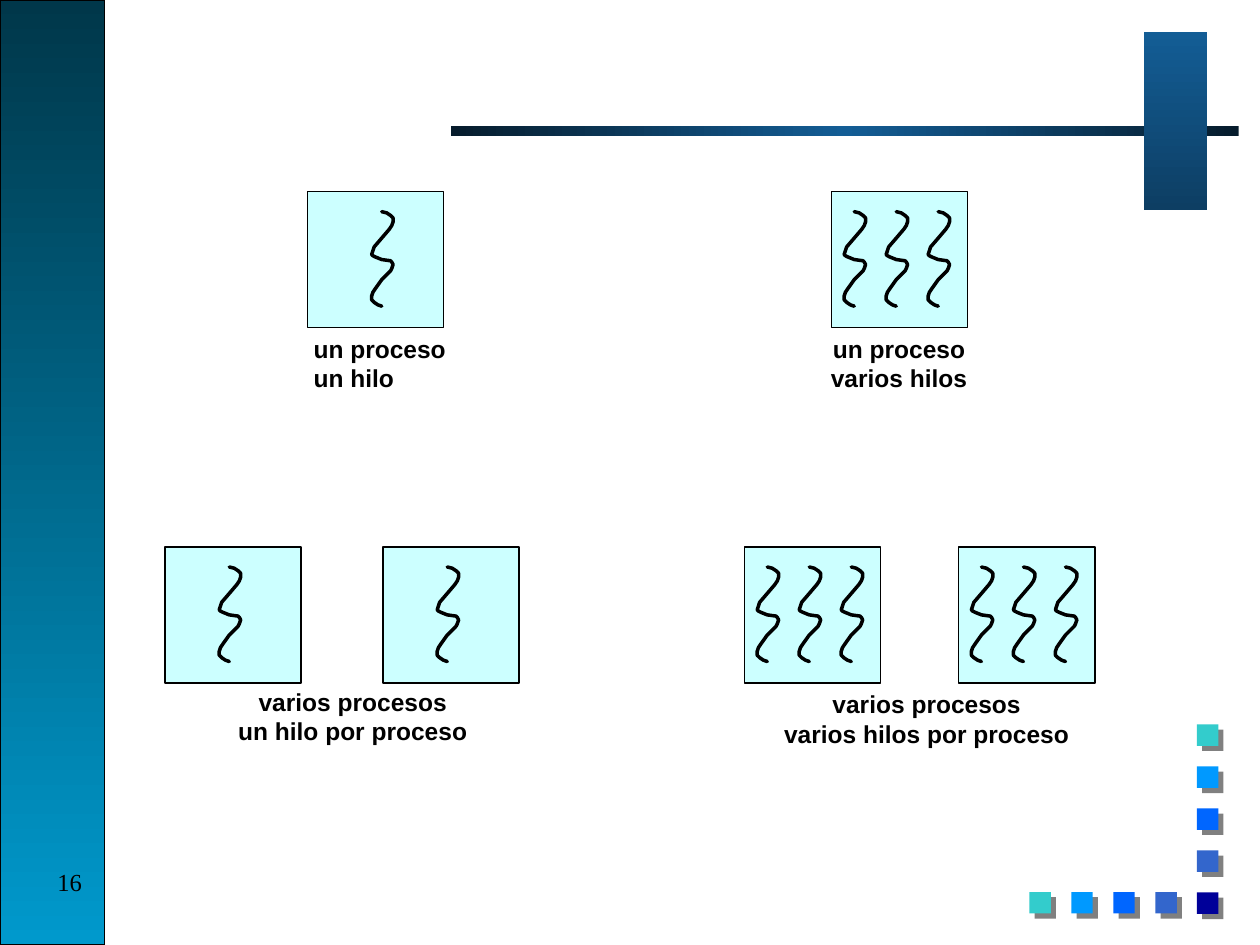
from lxml.etree import SubElement
from pptx import Presentation
from pptx.dml.color import RGBColor
from pptx.enum.shapes import MSO_SHAPE as Shape
from pptx.enum.text import MSO_ANCHOR as Anchor, MSO_AUTO_SIZE as AutoSize, PP_ALIGN as Align
from pptx.oxml.ns import qn
from pptx.util import Inches, Pt

BLACK = RGBColor(0x00, 0x00, 0x00)
PALE_CYAN = RGBColor(0xCC, 0xFF, 0xFF)
DARK_TEAL = RGBColor(0x00, 0x37, 0x4A)
SKY_BLUE = RGBColor(0x00, 0x99, 0xCC)
NIGHT_BLUE = RGBColor(0x06, 0x1C, 0x2C)
STEEL_BLUE = RGBColor(0x13, 0x5D, 0x95)
DEEP_BLUE = RGBColor(0x0D, 0x3E, 0x63)
GRAY = RGBColor(0x80, 0x80, 0x80)
SQUARE_COLORS = [
    RGBColor(0x33, 0xCC, 0xCC),
    RGBColor(0x00, 0x99, 0xFF),
    RGBColor(0x00, 0x66, 0xFF),
    RGBColor(0x33, 0x66, 0xCC),
    RGBColor(0x00, 0x00, 0x99),
]

BOX_SIZE = 1.08
THREAD_TOP = 0.16
THREAD_GAP = 1 / 3
THREAD_POINTS = [
    (0.08, 0), (0.12, 0.01), (0.15, 0.03), (0.17, 0.05), (0.17, 0.08),
    (0.16, 0.11), (0.14, 0.14), (0.08, 0.21), (0.02, 0.28), (0.01, 0.31),
    (0, 0.34), (0.01, 0.35), (0.03, 0.36), (0.08, 0.38), (0.15, 0.39),
    (0.16, 0.4), (0.17, 0.42), (0.16, 0.45), (0.15, 0.47), (0.08, 0.54),
    (0.03, 0.61), (0.01, 0.64), (0, 0.67), (0, 0.7), (0.02, 0.72),
    (0.05, 0.74), (0.08, 0.75),
]


def add_rectangle(shapes, left, top, width, height, fill=None, line=None):
    shape = shapes.add_shape(
        Shape.RECTANGLE, Inches(left), Inches(top), Inches(width), Inches(height))
    shape.shadow.inherit = False
    if fill is not None:
        shape.fill.solid()
        shape.fill.fore_color.rgb = fill
    if line is None:
        shape.line.fill.background()
    else:
        shape.line.color.rgb = line
        shape.line.width = Pt(0.75)
    return shape


def set_gradient(shape, colors, angle):
    properties = shape.element.spPr
    gradient = SubElement(properties, qn("a:gradFill"), rotWithShape="1")
    stops = SubElement(gradient, qn("a:gsLst"))
    for index, color in enumerate(colors):
        position = 100000 * index // (len(colors) - 1)
        stop = SubElement(stops, qn("a:gs"), pos=str(position))
        SubElement(stop, qn("a:srgbClr"), val=str(color))
    SubElement(gradient, qn("a:lin"), ang=str(angle * 60000), scaled="0")
    properties.find(qn("a:prstGeom")).addnext(gradient)


def add_shadowed_square(shapes, left, top, color):
    square = add_rectangle(shapes, left, top, 0.17, 0.17, fill=color)
    effects = square.element.spPr.find(qn("a:effectLst"))
    shadow = SubElement(
        effects, qn("a:outerShdw"), dist=str(Pt(4.2)), dir=str(45 * 60000),
        algn="ctr", rotWithShape="0")
    SubElement(shadow, qn("a:srgbClr"), val=str(GRAY))


def add_text(shapes, text, left, top, width, height, font="Arial", bold=True,
             align=Align.CENTER, wrap=False, auto_size=AutoSize.SHAPE_TO_FIT_TEXT):
    text_box = shapes.add_textbox(
        Inches(left), Inches(top), Inches(width), Inches(height))
    frame = text_box.text_frame
    frame.word_wrap = wrap
    frame.auto_size = auto_size
    frame.vertical_anchor = Anchor.TOP
    frame.text = text
    for paragraph in frame.paragraphs:
        paragraph.alignment = align
        paragraph.font.name = font
        paragraph.font.size = Pt(14)
        paragraph.font.bold = bold
        paragraph.font.color.rgb = BLACK


def add_thread(shapes, left, top):
    points = [(Inches(left + x), Inches(top + y)) for x, y in THREAD_POINTS]
    builder = shapes.build_freeform(*points[0])
    builder.add_line_segments(points[1:], close=False)
    thread = builder.convert_to_shape()
    thread.shadow.inherit = False
    thread.fill.background()
    thread.line.color.rgb = BLACK
    thread.line.width = Pt(2)
    outline = thread.element.spPr.find(qn("a:ln"))
    outline.set("cap", "rnd")
    SubElement(outline, qn("a:round"))


def add_process(shapes, left, top, threads, thread_offset):
    add_rectangle(shapes, left, top, BOX_SIZE, BOX_SIZE, fill=PALE_CYAN, line=BLACK)
    for index in range(threads):
        add_thread(shapes, left + thread_offset + index * THREAD_GAP, top + THREAD_TOP)


def add_model(slide, lefts, top, threads, thread_offset, caption, caption_at,
              align=Align.CENTER):
    shapes = slide.shapes.add_group_shape().shapes
    for left in lefts:
        add_process(shapes, left, top, threads, thread_offset)
    add_text(shapes, caption, *caption_at, 0.57, align=align)


def add_decoration(slide):
    shapes = slide.shapes
    side_band = add_rectangle(shapes, 0, 0, 0.83, 7.5, line=BLACK)
    set_gradient(side_band, [DARK_TEAL, SKY_BLUE], 90)
    for index, color in enumerate(SQUARE_COLORS):
        add_shadowed_square(shapes, 9.5, 5.75 + index / 3, color)
    for index, color in enumerate(SQUARE_COLORS[:-1]):
        add_shadowed_square(shapes, 8.17 + index / 3, 7.08, color)
    title_rule = add_rectangle(shapes, 3.58, 1, 6.25, 0.08)
    set_gradient(title_rule, [NIGHT_BLUE, STEEL_BLUE, NIGHT_BLUE], 0)
    corner_bar = add_rectangle(shapes, 9.08, 0.25, 0.5, 1.42)
    set_gradient(corner_bar, [STEEL_BLUE, DEEP_BLUE], 90)


def main():
    presentation = Presentation()
    presentation.slide_width = Inches(10)
    presentation.slide_height = Inches(7.5)
    slide = presentation.slides.add_slide(presentation.slide_layouts[6])
    add_decoration(slide)
    add_text(slide.shapes, "16", 0.08, 6.83, 0.67, 0.5, font="Times New Roman",
             bold=False, align=Align.RIGHT, wrap=True, auto_size=AutoSize.NONE)
    add_model(slide, [2.44], 1.52, 1, 0.51, "un proceso\nun hilo",
              (2.39, 2.6, 1.25), align=Align.LEFT)
    add_model(slide, [1.31, 3.04], 4.34, 1, 0.43,
              "varios procesos\nun hilo por proceso", (1.79, 5.4, 2.02))
    add_model(slide, [5.91, 7.61], 4.34, 3, 0.1,
              "varios procesos\nvarios hilos por proceso", (6.12, 5.42, 2.47))
    add_model(slide, [6.6], 1.52, 3, 0.1, "un proceso\nvarios hilos",
              (6.49, 2.6, 1.29))
    presentation.save("out.pptx")


if __name__ == "__main__":
    main()
